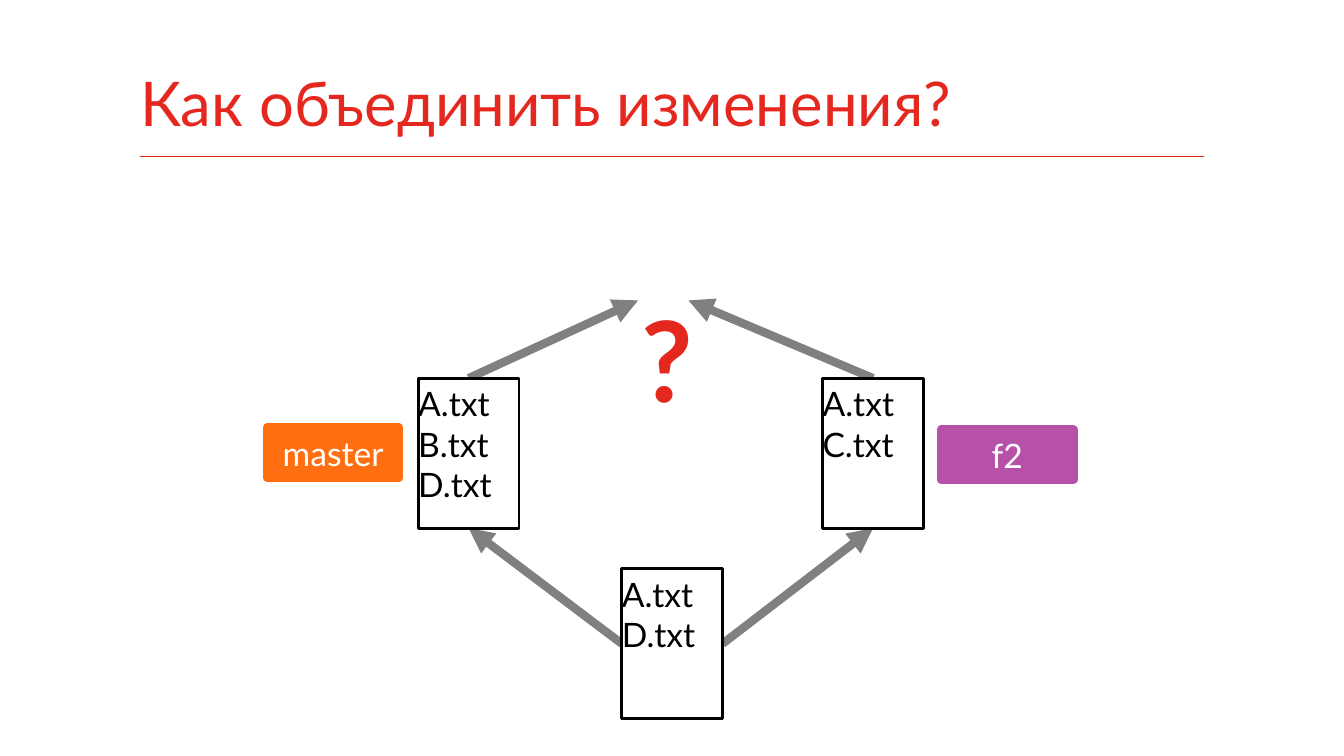
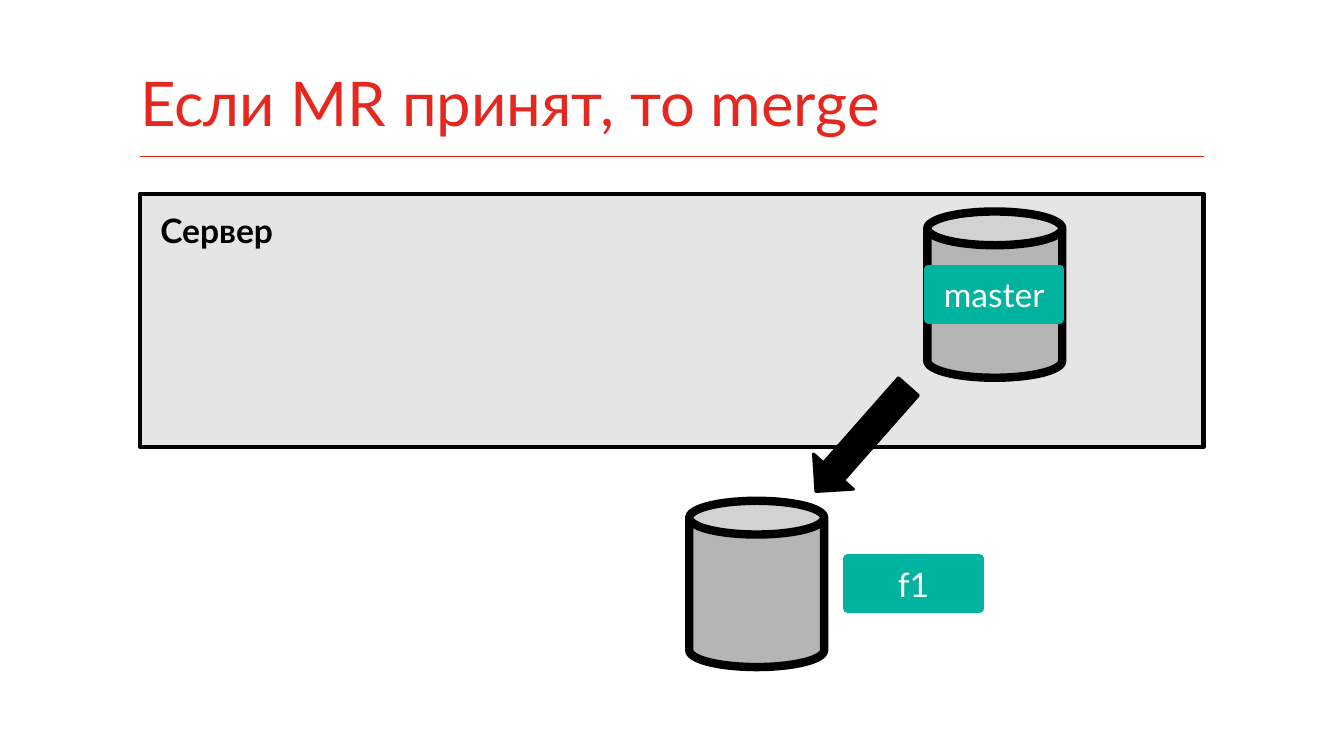
from lxml import etree
from pptx import Presentation
from pptx import util as u
from pptx.dml.color import RGBColor
from pptx.enum import shapes, text
from pptx.oxml.ns import qn

Cm, Pt = u.Cm, u.Pt
RED = RGBColor(0xE5, 0x28, 0x1F)
RULE = RGBColor(0xE5, 0x23, 0x19)
GREY = RGBColor(0x80, 0x80, 0x80)
SILVER = RGBColor(0xB5, 0xB5, 0xB5)
BLACK = RGBColor(0, 0, 0)
WHITE = RGBColor(0xFF, 0xFF, 0xFF)
ORANGE = RGBColor(0xFF, 0x6E, 0x11)
PURPLE = RGBColor(0xB6, 0x51, 0xA7)
TEAL = RGBColor(0x00, 0xB3, 0x9F)

LEFT, WIDTH, RULE_Y = 3.53, 26.8, 3.94
FILE_W, FILE_H = 2.54, 3.78
TAG_W, TAG_H = 3.33, 1.27
CAN_W, CAN_H = 3.4, 4.19


class Deck:
    font = "Lato"

    def __init__(self):
        self.prs = Presentation()
        self.prs.slide_width, self.prs.slide_height = Cm(33.87), Cm(19.05)
        self.s = None

    def slide(self, title):
        self.s = self.prs.slides.add_slide(self.prs.slide_layouts[5])
        sp = self.s.shapes.title
        sp.left, sp.top, sp.width, sp.height = Cm(LEFT), Cm(0.91), Cm(WIDTH), Cm(3)
        self.fill_text(sp, [title], 44, RED, insets=(0, 0.13, 0, 0.41),
                       anchor=text.MSO_ANCHOR.BOTTOM)
        self.line((LEFT, RULE_Y), (LEFT + WIDTH, RULE_Y), RULE, 0.75)

    def fill_text(self, sp, lines, size, color, bold=False, align=text.PP_ALIGN.LEFT,
                  insets=(0, 0.13, 0.25, 0.13), anchor=text.MSO_ANCHOR.TOP, wrap=True):
        tf = sp.text_frame
        tf.word_wrap = wrap
        tf.auto_size = text.MSO_AUTO_SIZE.NONE
        tf.vertical_anchor = anchor
        tf.margin_left, tf.margin_top, tf.margin_right, tf.margin_bottom = map(Cm, insets)
        for i, line in enumerate(lines):
            p = tf.add_paragraph() if i else tf.paragraphs[0]
            p.alignment = align
            r = p.add_run()
            r.text = line
            r.font.name, r.font.size, r.font.bold = self.font, Pt(size), bold
            r.font.color.rgb = color
        return tf

    def line(self, start, end, color, width, arrow=False):
        c = self.s.shapes.add_connector(
            shapes.MSO_CONNECTOR.STRAIGHT, *map(Cm, start + end))
        c.line.color.rgb, c.line.width = color, Pt(width)
        spPr = c._element.spPr
        if arrow:
            etree.SubElement(spPr.find(qn("a:ln")), qn("a:tailEnd"), type="triangle")
        etree.SubElement(spPr, qn("a:effectLst"))

    def shape(self, kind, x, y, w, h, fill, line, width):
        sp = self.s.shapes.add_shape(kind, Cm(x), Cm(y), Cm(w), Cm(h))
        sp.shadow.inherit = False
        sp.fill.solid()
        sp.fill.fore_color.rgb = fill
        sp.line.color.rgb, sp.line.width = line, Pt(width)
        return sp

    def rect(self, *args):
        return self.shape(shapes.MSO_SHAPE.RECTANGLE, *args)

    def commit(self, x, y, files):
        sp = self.rect(x, y, FILE_W, FILE_H, WHITE, BLACK, 2)
        self.fill_text(sp, files, 24, BLACK)

    def tag(self, x, y, name, color):
        sp = self.rect(x, y, TAG_W, TAG_H, color, color, 6)
        self.fill_text(sp, [name], 24, WHITE, align=text.PP_ALIGN.CENTER,
                       insets=(0.25, 0.13, 0.25, 0.13))

    def can(self, x, y):
        self.shape(shapes.MSO_SHAPE.CAN, x, y, CAN_W, CAN_H, SILVER, BLACK, 6)

    def block_arrow(self, x, y, w, h, angle):
        sp = self.shape(shapes.MSO_SHAPE.RIGHT_ARROW, x, y, w, h, BLACK, BLACK, 2)
        sp.rotation = angle

    def zone(self, x, y, w, h):
        sp = self.rect(x, y, w, h, BLACK, BLACK, 3)
        clr = sp._element.spPr.find(qn("a:solidFill"))[0]
        etree.SubElement(clr, qn("a:alpha"), val="10000")

    def label(self, x, y, w, h, caption, size, color, **style):
        sp = self.s.shapes.add_textbox(Cm(x), Cm(y), Cm(w), Cm(h))
        return self.fill_text(sp, [caption], size, color, bold=True, **style)


def merge_question(d):
    d.slide("Как объединить изменения?")
    base_x, base_y = 15.67, 14.33
    left_x, right_x, branch_y = 10.54, 20.73, 9.53
    goal_y = 7.57
    for x, goal_x, side_x in ((right_x, 17.35, base_x + FILE_W),
                              (left_x, 16.08, base_x)):
        mid = x + FILE_W / 2
        d.line((mid, branch_y), (goal_x, goal_y), GREY, 6, arrow=True)
        d.line((side_x, base_y + FILE_H / 2), (mid, branch_y + FILE_H),
               GREY, 6, arrow=True)
    d.commit(base_x, base_y, ["A.txt", "D.txt"])
    d.commit(left_x, branch_y, ["A.txt", "B.txt", "D.txt"])
    d.commit(right_x, branch_y, ["A.txt", "C.txt"])
    d.tag(6.73, 10.77, "master", ORANGE)
    d.tag(23.72, 10.82, "f2", PURPLE)
    tf = d.label(16.08, RULE_Y, 1.7, 4.19, "?", 138, RED, align=text.PP_ALIGN.CENTER)
    tf.auto_size = text.MSO_AUTO_SIZE.SHAPE_TO_FIT_TEXT
    r = tf.paragraphs[0].runs[0]
    r._r.get_or_add_rPr().set("baseline", "-25000")


def accepted_request(d):
    d.slide("Если MR принят, то merge")
    d.zone(LEFT, 4.88, WIDTH, 6.38)
    d.can(17.37, 12.62)
    d.block_arrow(19.96, 10.39, 3.53, 1.35, 131.4)
    d.can(23.37, 5.33)
    d.label(4.04, 5.16, 2.87, 1.27, "Сервер", 24, BLACK,
            anchor=text.MSO_ANCHOR.BOTTOM, wrap=False)
    d.tag(21.36, 14.07, "f1", TEAL)
    d.tag(23.39, 6.78, "master", TEAL)


def main():
    d = Deck()
    merge_question(d)
    accepted_request(d)
    d.prs.save("out.pptx")


if __name__ == "__main__":
    main()
